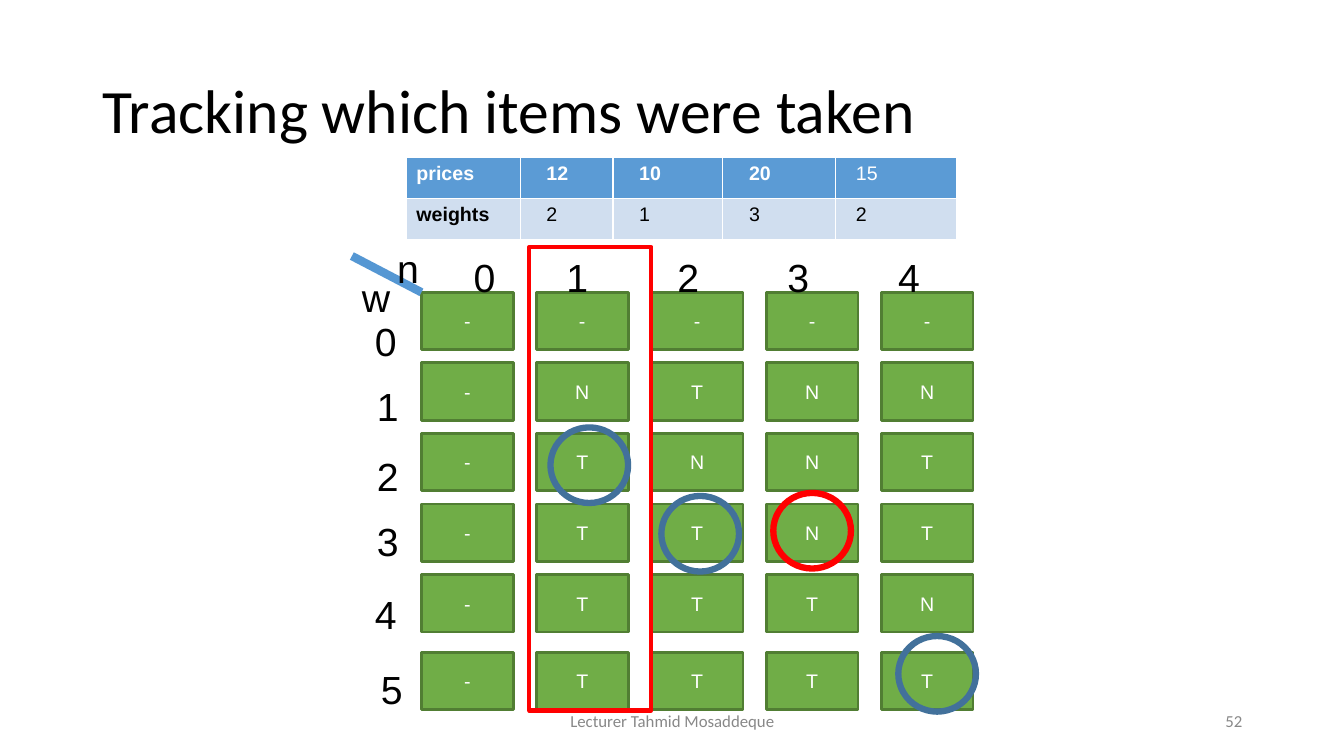
from pptx import Presentation
from pptx.dml.color import RGBColor
from pptx.enum.shapes import MSO_CONNECTOR, MSO_SHAPE
from pptx.enum.text import MSO_ANCHOR, PP_ALIGN
from pptx.oxml.ns import qn
from pptx.util import Inches, Pt

BLACK = RGBColor(0, 0, 0)
WHITE = RGBColor(255, 255, 255)
GRAY = RGBColor(0x88, 0x88, 0x88)
RED = RGBColor(255, 0, 0)
NAVY = RGBColor(0x42, 0x71, 0x9B)
BLUE = RGBColor(0x5B, 0x9B, 0xD5)
SKY = RGBColor(0x55, 0x97, 0xD3)
PALE = RGBColor(0xD0, 0xDE, 0xEF)
GREEN = RGBColor(0x70, 0xAD, 0x47)
MOSS = RGBColor(0x51, 0x7E, 0x33)

deck = Presentation()
deck.slide_width, deck.slide_height = Inches(13.33), Inches(7.5)
slide = deck.slides.add_slide(deck.slide_layouts[6])


def write(frame, text, size, color, face="Arial", align=PP_ALIGN.LEFT):
    frame.word_wrap = True
    para = frame.paragraphs[0]
    para.text, para.alignment = text, align
    para.font.size, para.font.name = Pt(size), face
    para.font.color.rgb = color
    return para


def outline(kind, box, color, width):
    shape = slide.shapes.add_shape(kind, *map(Inches, box))
    shape.shadow.inherit = False
    shape.fill.background()
    shape.line.color.rgb, shape.line.width = color, Pt(width)
    return shape


# Title and footer
for box, text, size, color, align in [
    ((0.92, 0.4, 11.5, 1.45), "Tracking which items were taken", 44, BLACK, PP_ALIGN.LEFT),
    ((4.42, 6.95, 4.5, 0.4), "Lecturer Tahmid Mosaddeque", 12, GRAY, PP_ALIGN.CENTER),
    ((9.42, 6.95, 3, 0.4), "52", 12, GRAY, PP_ALIGN.RIGHT),
]:
    frame = slide.shapes.add_textbox(*map(Inches, box)).text_frame
    frame.vertical_anchor = MSO_ANCHOR.MIDDLE
    para = write(frame, text, size, color, "Calibri", align)
    if size == 44:
        para.line_spacing = 0.9

# Prices and weights
items = [["prices", "12", "10", "20", "15"], ["weights", "2", "1", "3", "2"]]
table = slide.shapes.add_table(
    2, 5, Inches(4.03), Inches(1.56), Inches(5.46), Inches(0.82)).table
for col, width in zip(table.columns, [1.13, 0.92, 1.09, 1.12, 1.2]):
    col.width = Inches(width)
for r, row in enumerate(items):
    table.rows[r].height = Inches(0.41)
    for c, text in enumerate(row):
        cell = table.cell(r, c)
        cell.fill.solid()
        cell.fill.fore_color.rgb = PALE if r else BLUE
        cell.margin_left = Inches([0.1, 0.26, 0.26, 0.26, 0.2][c])
        para = write(cell.text_frame, text, 14, BLACK if r else WHITE)
        para.font.bold = c == 0 or (r == 0 and c < 4)

# Grid of decisions: one string per weight, one letter per item count
tops = [2.9, 3.6, 4.3, 5, 5.7, 6.47]
for top, row in zip(tops, ["-----", "-NTNN", "-TNNT", "-TTNT", "-TTTN", "-TTTT"]):
    for c, text in enumerate(row):
        tile = outline(MSO_SHAPE.RECTANGLE, (4.18 + 1.14 * c, top, 0.91, 0.57), MOSS, 2)
        tile.fill.solid()
        tile.fill.fore_color.rgb = GREEN
        tile.text_frame.vertical_anchor = MSO_ANCHOR.MIDDLE
        write(tile.text_frame, text, 14, WHITE, align=PP_ALIGN.CENTER)

# Corner line
line = slide.shapes.add_connector(
    MSO_CONNECTOR.STRAIGHT, Inches(4.18), Inches(2.9), Inches(3.49), Inches(2.54))
line.line.color.rgb, line.line.width = SKY, Pt(6)
props = line._element.spPr
props.append(props.makeelement(qn("a:effectLst"), {}))

# Axis labels
labels = [("n", 3.84, 2.37), ("w", 3.49, 2.66)]
sides = [(3.62, 3.1), (3.64, 3.74), (3.64, 4.44), (3.64, 5.08), (3.62, 5.81), (3.68, 6.55)]
labels += [(str(i), x, y) for i, (x, y) in enumerate(sides)]
labels += [(str(i), x, 2.46) for i, x in enumerate([4.6, 5.52, 6.62, 7.71, 8.81])]
for text, x, y in labels:
    box = slide.shapes.add_textbox(Inches(x), Inches(y), Inches(0.48), Inches(0.57))
    write(box.text_frame, text, 28, BLACK)

# Highlights
outline(MSO_SHAPE.RECTANGLE, (5.25, 2.45, 1.21, 4.6), RED, 3)
for x, y, color in [(8.91, 6.31, NAVY), (7.67, 4.89, RED),
                    (6.56, 4.92, NAVY), (5.46, 4.24, NAVY)]:
    outline(MSO_SHAPE.OVAL, (x, y, 0.77, 0.75), color, 4.5)

deck.save("out.pptx")
